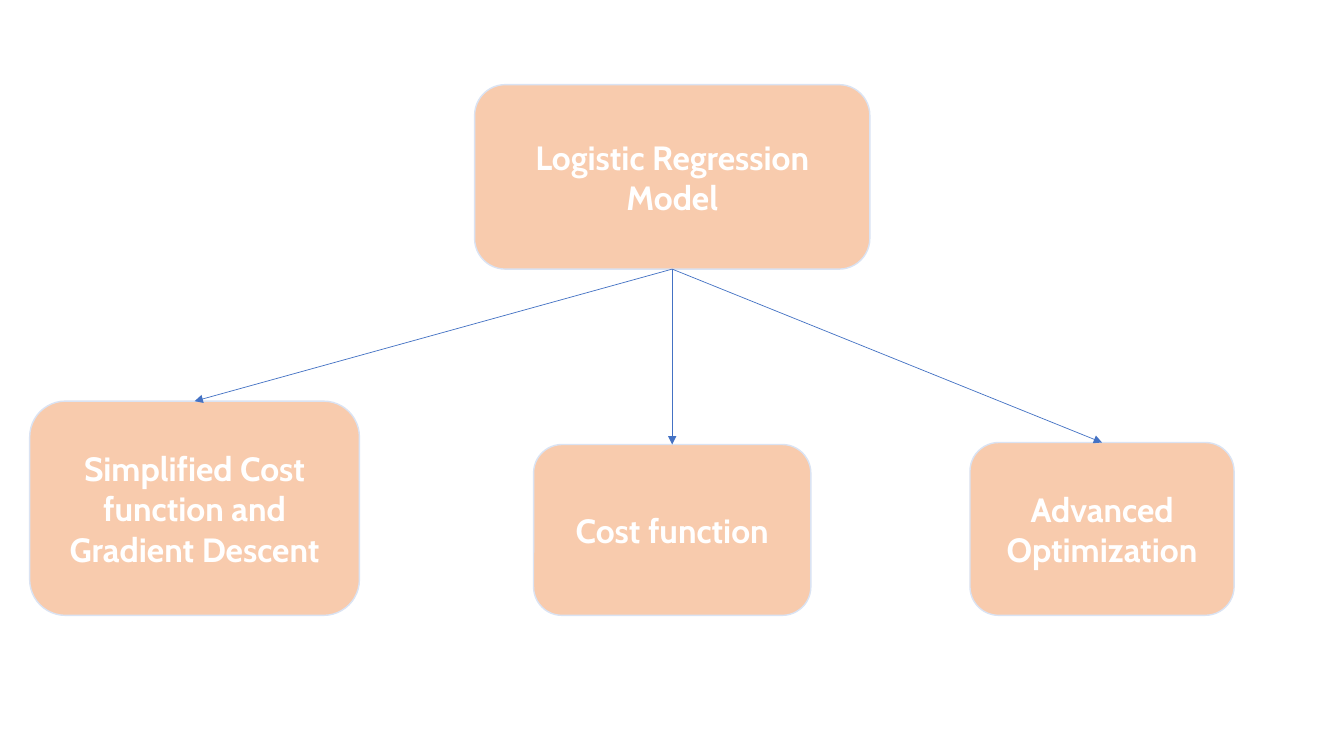
import dataclasses

import pptx
import pptx.dml.color
import pptx.enum.shapes
import pptx.enum.text
import pptx.oxml
import pptx.oxml.ns
import pptx.util

COLORS = {"fill": "F8CBAD", "edge": "DAE3F3", "text": "FFFFFF", "arrow": "4472C4"}
FONT = "Cabin"
CELL = pptx.util.Inches(0.1)  # side of one grid square
MID = 66.67  # centre column of the slide
BASE = 61.05  # row on which the lower boxes stand


@dataclasses.dataclass(frozen=True)
class Node:
    """A box: centre column, top and bottom rows, width in columns."""
    text: str
    mid: float
    top: float
    base: float
    wide: float


MODEL = Node("Logistic Regression Model", MID, 8.4, 26.7, 39.2)
TOPICS = [
    Node("Simplified Cost function and Gradient Descent", 19.3, 39.8, BASE, 32.7),
    Node("Cost function", MID, 44.1, BASE, 27.5),
    Node("Advanced Optimization", 109.3, 43.9, BASE, 26.2),
]


def grid(count: float) -> int:
    return round(count * CELL)


def color(name: str) -> pptx.dml.color.RGBColor:
    return pptx.dml.color.RGBColor.from_string(COLORS[name])


def add_node(slide, node: Node):
    box = slide.shapes.add_shape(
        pptx.enum.shapes.MSO_SHAPE.ROUNDED_RECTANGLE,
        grid(node.mid - node.wide / 2), grid(node.top),
        grid(node.wide), grid(node.base - node.top))
    box.shadow.inherit = False
    box.fill.solid()
    box.fill.fore_color.rgb = color("fill")
    box.line.color.rgb = color("edge")
    box.line.width = pptx.util.Pt(1)

    frame = box.text_frame
    frame.word_wrap = True
    frame.vertical_anchor = pptx.enum.text.MSO_ANCHOR.MIDDLE
    label = frame.paragraphs[0]
    label.text = node.text
    label.alignment = pptx.enum.text.PP_ALIGN.CENTER
    label.font.name = FONT
    label.font.size = pptx.util.Pt(24)
    label.font.bold = True
    label.font.color.rgb = color("text")
    return box


def add_arrow(slide, start, end) -> None:
    """Link the bottom of one box to the top of another."""
    arrow = slide.shapes.add_connector(
        pptx.enum.shapes.MSO_CONNECTOR.STRAIGHT, 0, 0, 0, 0)
    arrow.begin_connect(start, 2)
    arrow.end_connect(end, 0)
    arrow.line.color.rgb = color("arrow")
    arrow.line.width = pptx.util.Pt(0.5)
    tip = pptx.oxml.parse_xml(
        f'<a:tailEnd {pptx.oxml.ns.nsdecls("a")} type="triangle"/>')
    arrow.line._get_or_add_ln().append(tip)
    arrow._element.spPr.append(
        pptx.oxml.parse_xml(f'<a:effectLst {pptx.oxml.ns.nsdecls("a")}/>'))


# Slide
deck = pptx.Presentation()
deck.slide_width = pptx.util.Inches(13.33)
deck.slide_height = pptx.util.Inches(7.5)
slide = deck.slides.add_slide(deck.slide_layouts[6])

# Model at the top, topics below it
model = add_node(slide, MODEL)
for topic in TOPICS:
    add_arrow(slide, model, add_node(slide, topic))

deck.save("out.pptx")
